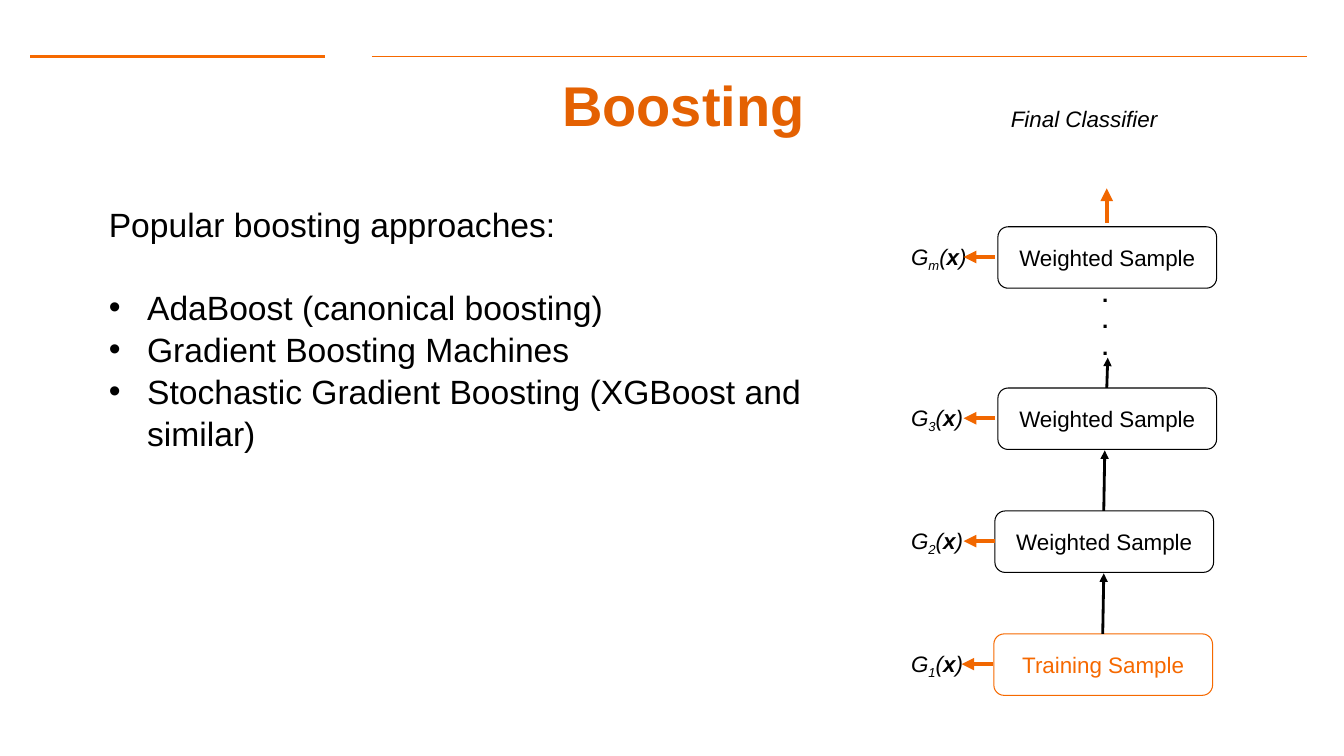
from dataclasses import dataclass
from lxml import etree
from pptx import Presentation, util as u
from pptx.dml.color import RGBColor
from pptx.enum import shapes, text
from pptx.oxml import ns


@dataclass
class Theme:
    font: str = "Arial"
    ink: str = "000000"
    rule: str = "F66900"
    arrow: str = "F16700"
    title: str = "E46102"
    head: int = 40
    body: int = 24
    label: int = 16


look = Theme()
deck = Presentation()
deck.slide_width, deck.slide_height = u.Inches(13.33), u.Inches(7.5)
cell = deck.slide_width / 40
slide = deck.slides.add_slide(deck.slide_layouts[5])
parts = slide.shapes


def write(par, words, size, hue, bold=False, slant=False, base=0):
    run = par.add_run()
    run.text = words
    font = run.font
    font.name, font.size = look.font, u.Pt(size)
    font.bold, font.italic = bold, slant
    font.color.rgb = RGBColor.from_string(hue)
    if base:
        run._r.get_or_add_rPr().set("baseline", str(base * 1000))


def draw(ends, hue, width, tip=True):
    line = parts.add_connector(
        shapes.MSO_CONNECTOR.STRAIGHT, *[round(n * cell) for n in ends])
    line.line.color.rgb = RGBColor.from_string(hue)
    line.line.width = u.Pt(width)
    if tip:
        tail = etree.SubElement(line.line._get_or_add_ln(), ns.qn("a:tailEnd"))
        tail.set("type", "triangle")
    etree.SubElement(line._element.spPr, ns.qn("a:effectLst"))


draw((0.9, 1.68, 9.66, 1.68), look.rule, 2, False)
draw((11.07, 1.68, 38.91, 1.68), look.rule, 1, False)

title = parts.title
title.left, title.top, title.width, title.height = [
    round(n * cell) for n in (2.34, 2.28, 36, 1.65)]
body = parts.add_textbox(*[round(n * cell) for n in (2.85, 5.61, 21.39, 13.71)])
for box in (title, body):
    frame = box.text_frame
    frame.word_wrap = True
    frame.auto_size = text.MSO_AUTO_SIZE.NONE
    frame.margin_left = frame.margin_right = u.Inches(0.13)
    frame.margin_top = frame.margin_bottom = u.Inches(0.13)
title.text_frame.vertical_anchor = text.MSO_ANCHOR.MIDDLE
par = title.text_frame.paragraphs[0]
par.alignment = text.PP_ALIGN.CENTER
write(par, "Boosting", look.head, look.title, True)

par = body.text_frame.paragraphs[0]
par.line_spacing = 1.05
write(par, "Popular boosting approaches:", look.body, look.ink)
items = ["AdaBoost (canonical boosting)", "Gradient Boosting Machines",
         "Stochastic Gradient Boosting (XGBoost and similar)"]
for row, item in enumerate(items):
    par = body.text_frame.add_paragraph()
    props = par._p.get_or_add_pPr()
    props.set("marL", str(u.Inches(0.38)))
    props.set("indent", str(u.Inches(-0.38)))
    etree.SubElement(props, ns.qn("a:buFont")).set("typeface", look.font)
    etree.SubElement(props, ns.qn("a:buChar")).set("char", "•")
    par.line_spacing = 1.05
    if row == 0:
        par.space_before = u.Pt(29)
    write(par, item, look.body, look.ink)

stages = [
    ("Training Sample", "1", 29.58, 18.87, 29.55, 1.8, look.rule),
    ("Weighted Sample", "2", 29.61, 15.21, 29.61, 1.8, look.ink),
    ("Weighted Sample", "3", 29.7, 11.55, 29.61, 0.9, look.ink),
    ("Weighted Sample", "m", 29.7, 6.75, 29.61, 0, look.ink),
]
for name, tag, left, top, start, rise, hue in stages:
    box = parts.add_shape(
        shapes.MSO_SHAPE.ROUNDED_RECTANGLE,
        *[round(n * cell) for n in (left, top, 6.51, 1.83)])
    box.shadow.inherit = False
    box.fill.background()
    box.line.color.rgb = RGBColor.from_string(hue)
    box.line.width = u.Pt(0.75)
    box.text_frame.vertical_anchor = text.MSO_ANCHOR.MIDDLE
    par = box.text_frame.paragraphs[0]
    par.alignment = text.PP_ALIGN.CENTER
    write(par, name, look.label, hue)
    if rise:
        draw((left + 3.24, top, left + 3.27, top - rise), look.ink, 2)

    note = parts.add_textbox(
        *[round(n * cell) for n in (26.82, top + 0.33, 4.5, 1.11)])
    note.text_frame.word_wrap = True
    note.text_frame.auto_size = text.MSO_AUTO_SIZE.SHAPE_TO_FIT_TEXT
    par = note.text_frame.paragraphs[0]
    for bit, bold, base in (("G", False, 0), (tag, False, -25),
                            ("(", False, 0), ("x", True, 0), (")", False, 0)):
        write(par, bit, look.label, look.ink, bold, True, base)
    draw((start, top + 0.9, start - 0.93, top + 0.9), look.arrow, 3)

draw((32.94, 6.63, 32.94, 5.61), look.arrow, 3)

dots = parts.add_textbox(*[round(n * cell) for n in (32.13, 8.97, 1.53, 1.11)])
dots.text_frame.word_wrap = True
dots.text_frame.vertical_anchor = text.MSO_ANCHOR.MIDDLE
for row in range(3):
    par = dots.text_frame.add_paragraph() if row else dots.text_frame.paragraphs[0]
    par.alignment = text.PP_ALIGN.CENTER
    write(par, ".", look.label, look.ink, True)

final = parts.add_textbox(*[round(n * cell) for n in (29.79, 2.97, 6.27, 1.11)])
final.text_frame.word_wrap = True
final.text_frame.auto_size = text.MSO_AUTO_SIZE.SHAPE_TO_FIT_TEXT
write(final.text_frame.paragraphs[0], "Final Classifier",
      look.label, look.ink, slant=True)

deck.save("out.pptx")
